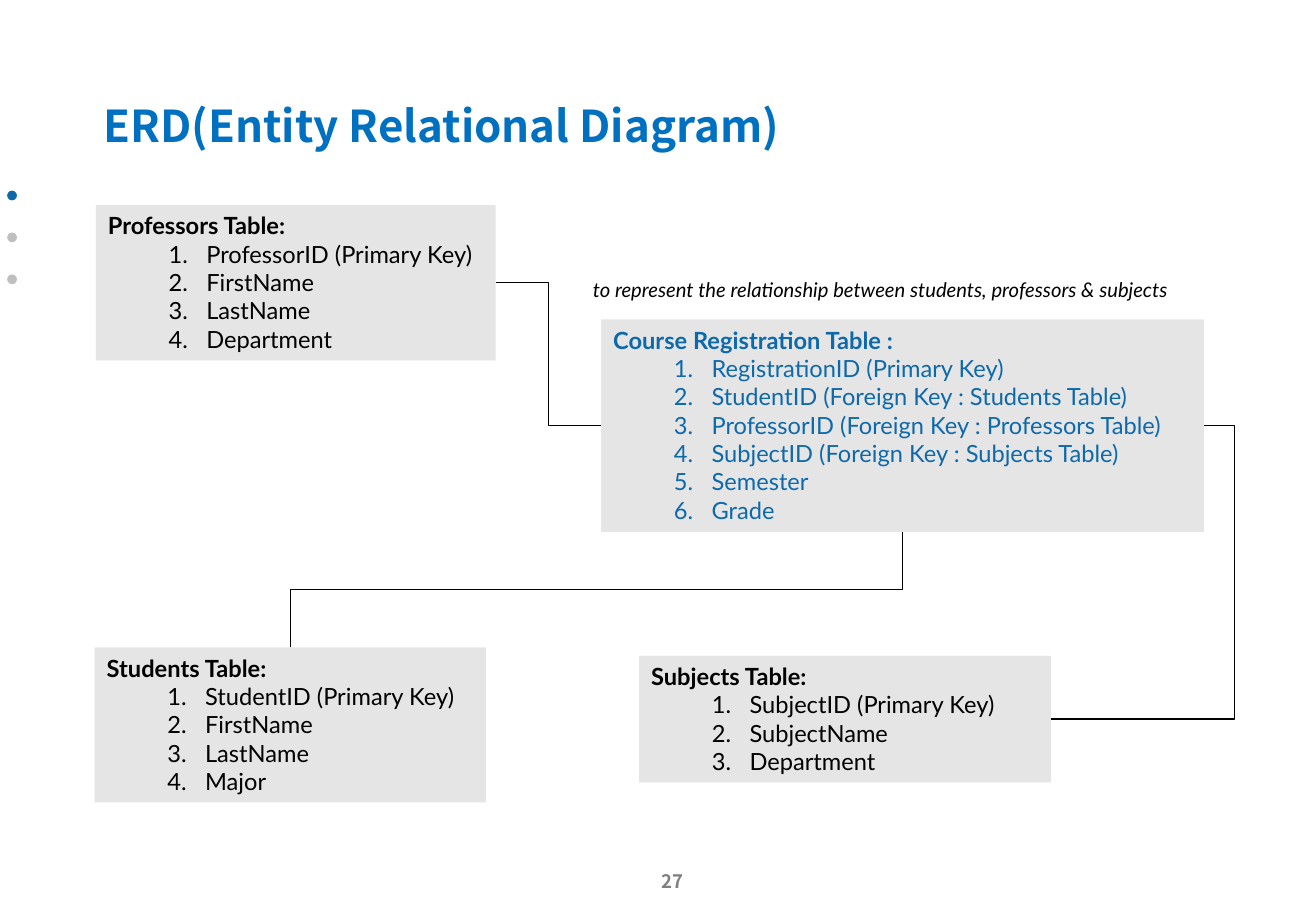
from pptx import Presentation
from pptx.dml.color import RGBColor
from pptx.enum.shapes import MSO_CONNECTOR, MSO_SHAPE
from pptx.enum.text import MSO_ANCHOR, PP_ALIGN
from pptx.oxml.ns import qn
from pptx.util import Inches, Pt
from lxml.etree import SubElement

SLIDE_W, SLIDE_H = Inches(10.83), Inches(7.5)
COL, ROW = SLIDE_W / 100, SLIDE_H / 100
LINE_ROWS, PAD_ROWS = 3.14, 1.33
TITLE_FONT, BODY_FONT = "Noto Sans CJK KR", "Lato"
BLACK = RGBColor(0x00, 0x00, 0x00)
BLUE = RGBColor(0x0E, 0x69, 0xAA)
TITLE_BLUE = RGBColor(0x00, 0x70, 0xC0)
PANEL_GRAY = RGBColor(0xE5, 0xE5, 0xE5)
DOT_GRAY = RGBColor(0xBF, 0xBF, 0xBF)
NUMBER_GRAY = RGBColor(0x80, 0x80, 0x80)
RIGHT, LEFT, TOP, BOTTOM = 3, 1, 0, 2


def grid(x, y, w, h):
    return round(x * COL), round(y * ROW), round(w * COL), round(h * ROW)


def style(p, name, size, color, bold=False, italic=False):
    for r in p.runs:
        r.font.name, r.font.size = name, Pt(size)
        r.font.bold, r.font.italic = bold, italic
        r.font.color.rgb = color


def add_panel(s, shape, box, color):
    sp = s.shapes.add_shape(shape, *grid(*box))
    sp.shadow.inherit = False
    sp.fill.solid()
    sp.fill.fore_color.rgb = color
    sp.line.fill.background()
    return sp


def add_label(s, box, text, name, size, color, inset=True, align=PP_ALIGN.LEFT, **weight):
    tf = s.shapes.add_textbox(*grid(*box)).text_frame
    tf.word_wrap = True
    if not inset:
        tf.margin_left = tf.margin_right = tf.margin_top = tf.margin_bottom = 0
        tf.vertical_anchor = MSO_ANCHOR.MIDDLE
    tf.text = text
    p = tf.paragraphs[0]
    p.alignment = align
    style(p, name, size, color, **weight)


def add_dots(s, x, y, pitch, colors):
    for i, color in enumerate(colors):
        add_panel(s, MSO_SHAPE.OVAL, (x, y + i * pitch, 0.74, 1.07), color)


def add_entity(s, x, y, w, heading, fields, color=BLACK):
    h = LINE_ROWS * (len(fields) + 1) + PAD_ROWS
    sp = add_panel(s, MSO_SHAPE.RECTANGLE, (x, y, w, h), PANEL_GRAY)
    tf = sp.text_frame
    tf.word_wrap = True
    tf.vertical_anchor = MSO_ANCHOR.TOP
    tf.text = "\n".join([heading, *fields])
    for i, p in enumerate(tf.paragraphs):
        p.alignment = PP_ALIGN.LEFT
        if i:
            p.level = 1
            pPr = p._p.get_or_add_pPr()
            pPr.set("marL", str(Inches(0.81)))
            pPr.set("indent", str(Inches(-0.31)))
            SubElement(pPr, qn("a:buFont"), typeface="+mj-lt")
            SubElement(pPr, qn("a:buAutoNum"), type="arabicPeriod")
        style(p, BODY_FONT, 14, color, bold=i == 0)
    return sp


def add_relation(s, start, start_side, end, end_side, bend=0.5):
    c = s.shapes.add_connector(MSO_CONNECTOR.ELBOW, 0, 0, 0, 0)
    c.begin_connect(start, start_side)
    c.end_connect(end, end_side)
    c.line.color.rgb = BLACK
    c.line.width = Pt(0.75)
    spPr = c._element.spPr
    SubElement(spPr, qn("a:effectLst"))
    guides = spPr.find(qn("a:prstGeom")).get_or_add_avLst()
    SubElement(guides, qn("a:gd"), name="adj1", fmla=f"val {round(bend * 100000)}")
    return c


def turn_upright(c):
    x, y, w, h = c.left, c.top, c.width, c.height
    c.left, c.top = x + (w - h) // 2, y + (h - w) // 2
    c.width, c.height = h, w
    xfrm = c._element.spPr.find(qn("a:xfrm"))
    for key, value in (("rot", "5400000"), ("flipH", "1"), ("flipV", "1")):
        xfrm.set(key, value)


def add_diagram(s):
    professors = add_entity(s, 7.29, 22.53, 30.38, "Professors Table:", [
        "ProfessorID (Primary Key)", "FirstName", "LastName", "Department"])
    subjects = add_entity(s, 48.57, 72, 31.3, "Subjects Table:", [
        "SubjectID (Primary Key)", "SubjectName", "Department"])
    students = add_entity(s, 7.2, 71.07, 29.73, "Students Table:", [
        "StudentID (Primary Key)", "FirstName", "LastName", "Major"])
    registration = add_entity(s, 45.68, 35.07, 45.8, "Course Registration Table :", [
        "RegistrationID (Primary Key)",
        "StudentID (Foreign Key : Students Table)",
        "ProfessorID (Foreign Key : Professors Table)",
        "SubjectID (Foreign Key : Subjects Table)",
        "Semester", "Grade"], BLUE)
    add_label(s, (44.14, 29.73, 54.57, 4),
              "to represent the relationship between students, professors & subjects",
              BODY_FONT, 12, BLACK, italic=True)
    add_relation(s, professors, RIGHT, registration, LEFT)
    turn_upright(add_relation(s, students, TOP, registration, BOTTOM))
    add_relation(s, subjects, RIGHT, registration, RIGHT, 1.2)


def main():
    prs = Presentation()
    prs.slide_width, prs.slide_height = SLIDE_W, SLIDE_H
    s = prs.slides.add_slide(prs.slide_layouts[6])
    add_label(s, (49.03, 95.47, 4.16, 2.53), "27", TITLE_FONT, 11, NUMBER_GRAY,
              inset=False, align=PP_ALIGN.CENTER, bold=True)
    add_dots(s, 0.55, 20.93, 4.6, [BLUE, DOT_GRAY, DOT_GRAY])
    add_label(s, (7.85, 10.8, 79.5, 5.87), "ERD(Entity Relational Diagram)",
              TITLE_FONT, 26, TITLE_BLUE, inset=False, bold=True)
    add_diagram(s)
    prs.save("out.pptx")


if __name__ == "__main__":
    main()
